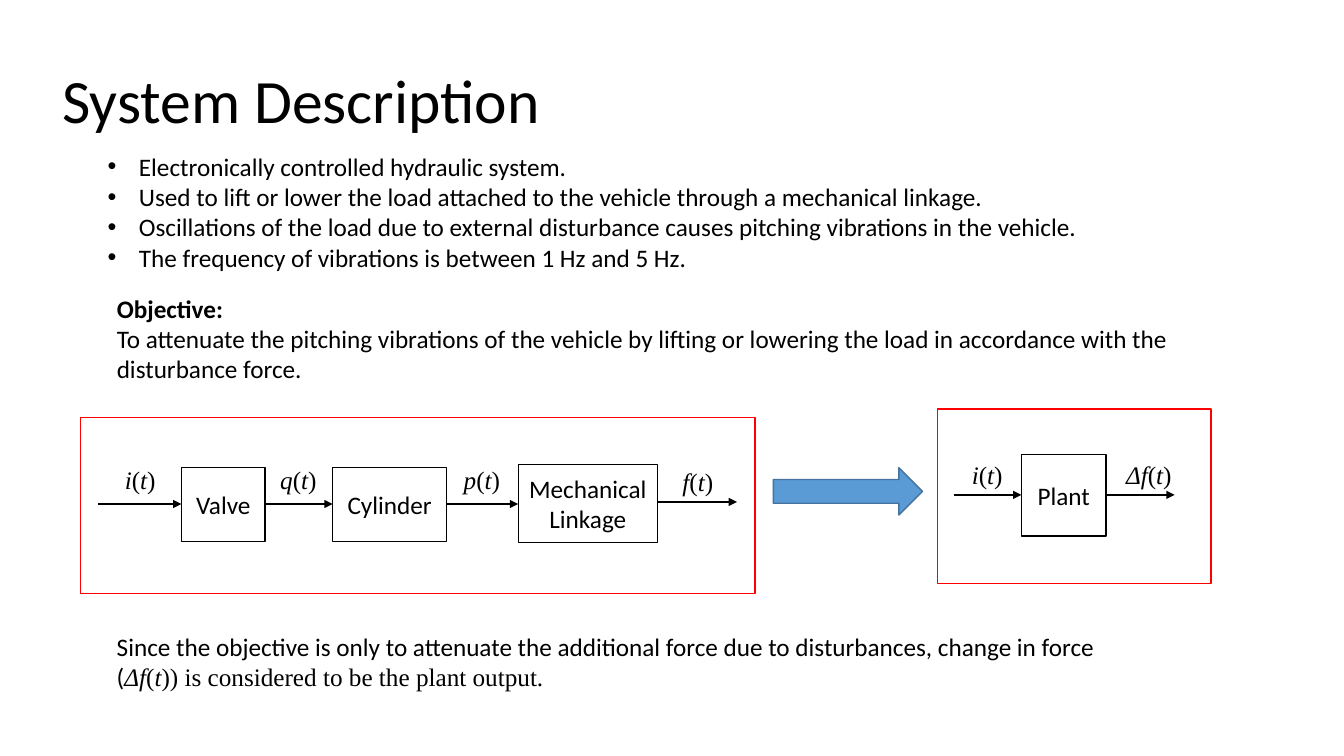
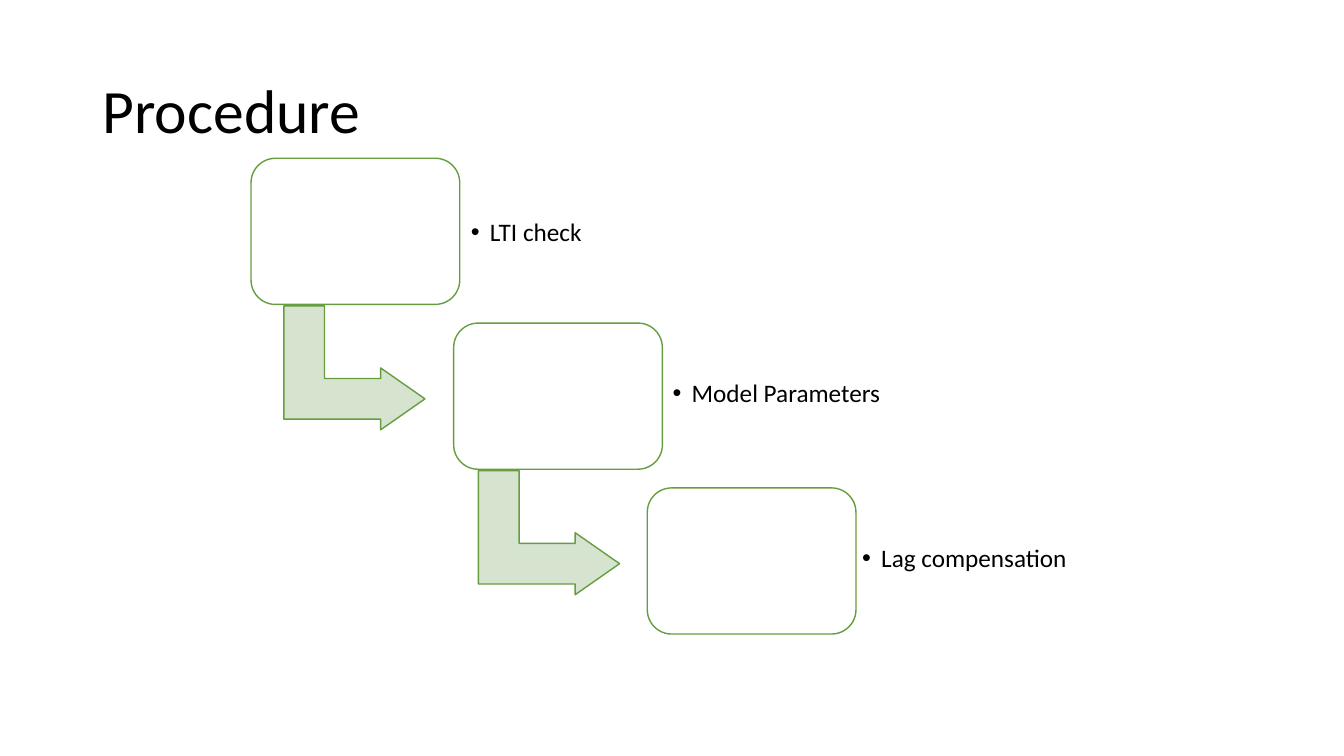
from pptx import Presentation
from pptx.dml.color import RGBColor
from pptx.enum.shapes import MSO_CONNECTOR as CONNECTOR, MSO_SHAPE as SHAPE
from pptx.enum.text import MSO_ANCHOR as ANCHOR, MSO_AUTO_SIZE as AUTO_SIZE, PP_ALIGN as ALIGN
from pptx.oxml.ns import qn
from pptx.util import Inches, Pt
from lxml import etree
from dataclasses import dataclass


@dataclass(frozen=True)
class Theme:
    """Colours, fonts and sizes shared by the slides."""
    ink: str = "000000"
    paper: str = "FFFFFF"
    frame: str = "FF0000"
    arrow: str = "5B9BD5"
    arrow_edge: str = "43739E"
    step: str = "D5E3CF"
    step_edge: str = "669D40"
    text_font: str = "Calibri"
    math_font: str = "Times New Roman"
    title_size: int = 44
    body_size: int = 18
    outline: float = 1
    wire: float = 1.5


THEME = Theme()
BODY = {"name": THEME.text_font, "size": Pt(THEME.body_size), "bold": False, "italic": False}
STYLES = {
    "body": BODY,
    "bold": {**BODY, "bold": True},
    "title": {**BODY, "size": Pt(THEME.title_size)},
    "math": {**BODY, "name": THEME.math_font},
    "symbol": {**BODY, "name": THEME.math_font, "italic": True},
}


def signal(symbol):
    """Return the runs of a signal that depends on time."""
    return [(symbol, "symbol"), ("(", "math"), ("t", "symbol"), (")", "math")]


# Content of slide 1; places are left, top, width, height in inches.
SYSTEM_TITLE = ("System Description", (0.52, 0.3, 11.5, 1.45))
FEATURES = [
    "Electronically controlled hydraulic system.",
    "Used to lift or lower the load attached to the vehicle through a mechanical linkage.",
    "Oscillations of the load due to external disturbance causes pitching vibrations in the vehicle.",
    "The frequency of vibrations is between 1 Hz and 5 Hz.",
]
OBJECTIVE = [
    [("Objective:", "bold")],
    [("To attenuate the pitching vibrations of the vehicle by lifting or lowering the load "
      "in accordance with the disturbance force.", "body")],
]
CONCLUSION = [
    [("Since the objective is only to attenuate the additional force due to disturbances, "
      "change in force (", "body"), *signal("Δf"),
     (") is considered to be the plant output.", "math")],
]
# Wires are start, end, height, signal, label left, label top.
DIAGRAMS = [
    {
        "blocks": [
            ("Valve", (1.8, 4.64, 0.83, 0.73)),
            ("Cylinder", (3.3, 4.64, 1.13, 0.73)),
            ("Mechanical Linkage", (5.14, 4.61, 1.38, 0.77)),
        ],
        "wires": [
            (0.97, 1.8, 5, "i", 1.14, 4.56),
            (2.63, 3.3, 5, "q", 2.68, 4.56),
            (4.43, 5.14, 5, "p", 4.5, 4.56),
            (6.52, 7.31, 4.98, "f", 6.67, 4.58),
        ],
        "frame": (0.8, 4.14, 6.69, 1.75),
    },
    {
        "blocks": [("Plant", (10.13, 4.51, 0.84, 0.81))],
        "wires": [
            (9.46, 10.13, 4.91, "i", 9.54, 4.51),
            (10.98, 11.65, 4.91, "Δf", 11.07, 4.51),
        ],
        "frame": (9.3, 4.06, 2.71, 1.73),
    },
]
LABEL_SIZE = (0.82, 0.4)
REDUCTION_ARROW = (7.67, 4.64, 1.48, 0.47)

# Content of slide 2; steps are label, box left, label place, arrow left.
PROCEDURE_TITLE = ("Procedure", (0.92, 0.4, 11.5, 1.45))
STEPS = [
    ("LTI check", 2.49, (4.6, 1.73, 2.37, 1.17), 2.9),
    ("Model Parameters", 4.5, (6.6, 3.33, 2.48, 1.17), 4.83),
    ("Lag compensation", 6.42, (8.48, 4.96, 3.02, 1.17), None),
]
STEP_TOP, STEP_PITCH = 1.57, 1.635
STEP_SIZE = (2.07, 1.45)
TURN_DROP, TURN_SIZE = 1.38, (1.23, 1.4)
TURN_ADJUSTMENTS = (0.328, 0.25, 0.358)


def inches(place):
    """Convert numbers to lengths."""
    return [Inches(value) for value in place]


def add_bullet(paragraph, indent):
    """Give a paragraph a hanging round bullet."""
    properties = paragraph._p.get_or_add_pPr()
    properties.set("marL", str(Inches(indent)))
    properties.set("indent", str(-Inches(indent)))
    etree.SubElement(properties, qn("a:buFont")).set("typeface", "Arial")
    etree.SubElement(properties, qn("a:buChar")).set("char", "•")


def write(frame, paragraphs, bullet=None, **formats):
    """Fill a text frame with paragraphs made of (text, style) runs."""
    for index, runs in enumerate(paragraphs):
        paragraph = frame.paragraphs[0] if index == 0 else frame.add_paragraph()
        for name, value in formats.items():
            setattr(paragraph, name, value)
        if bullet:
            add_bullet(paragraph, bullet)
        for text, style in runs:
            run = paragraph.add_run()
            run.text = text
            for name, value in STYLES[style].items():
                setattr(run.font, name, value)
            run.font.color.rgb = RGBColor.from_string(THEME.ink)


def add_text(slide, place, paragraphs, anchor=ANCHOR.TOP, inset=None, grow=True, **formats):
    """Add a wrapping text box."""
    frame = slide.shapes.add_textbox(*inches(place)).text_frame
    settings = {
        "word_wrap": True,
        "vertical_anchor": anchor,
        "auto_size": AUTO_SIZE.SHAPE_TO_FIT_TEXT if grow else AUTO_SIZE.NONE,
    }
    if inset is not None:
        for side in ("left", "top", "right", "bottom"):
            settings["margin_" + side] = Inches(inset)
    for name, value in settings.items():
        setattr(frame, name, value)
    write(frame, paragraphs, **formats)


def add_title(slide, text, place):
    """Add the slide title."""
    add_text(slide, place, [[(text, "title")]], ANCHOR.MIDDLE, grow=False, line_spacing=0.9)


def add_figure(slide, kind, place, fill, edge, adjustments=(), rotation=0):
    """Add an outlined preset shape, unfilled when fill is None."""
    shape = slide.shapes.add_shape(kind, *inches(place))
    shape.shadow.inherit = False
    shape.rotation = rotation
    for index, value in enumerate(adjustments):
        shape.adjustments[index] = value
    if fill:
        shape.fill.solid()
        shape.fill.fore_color.rgb = RGBColor.from_string(fill)
    else:
        shape.fill.background()
    shape.line.color.rgb = RGBColor.from_string(edge)
    shape.line.width = Pt(THEME.outline)
    return shape


def add_block(slide, text, place):
    """Add one labelled block of a diagram."""
    frame = add_figure(slide, SHAPE.RECTANGLE, place, THEME.paper, THEME.ink).text_frame
    frame.word_wrap = True
    frame.vertical_anchor = ANCHOR.MIDDLE
    write(frame, [[(text, "body")]], alignment=ALIGN.CENTER)


def add_wire(slide, start, end, height):
    """Add a level arrow between two blocks."""
    wire = slide.shapes.add_connector(CONNECTOR.STRAIGHT, *inches((start, height, end, height)))
    wire.line.color.rgb = RGBColor.from_string(THEME.ink)
    wire.line.width = Pt(THEME.wire)
    etree.SubElement(wire.line._get_or_add_ln(), qn("a:tailEnd")).set("type", "triangle")
    etree.SubElement(wire._element.spPr, qn("a:effectLst"))


def add_diagram(slide, blocks, wires, frame):
    """Add blocks, their signals and the frame around them."""
    for text, place in blocks:
        add_block(slide, text, place)
    for start, end, height, symbol, left, top in wires:
        add_wire(slide, start, end, height)
        add_text(slide, (left, top, *LABEL_SIZE), [signal(symbol)])
    add_figure(slide, SHAPE.RECTANGLE, frame, None, THEME.frame)


def build_system(slide):
    """Build the system description."""
    add_title(slide, *SYSTEM_TITLE)
    for diagram in DIAGRAMS:
        add_diagram(slide, **diagram)
    add_figure(slide, SHAPE.RIGHT_ARROW, REDUCTION_ARROW, THEME.arrow, THEME.arrow_edge)
    add_text(slide, (0.97, 1.45, 10.16, 1.62), [[(text, "body")] for text in FEATURES], bullet=0.31)
    add_text(slide, (1.06, 2.86, 10.95, 1.01), OBJECTIVE)
    add_text(slide, (1.06, 6.21, 9.93, 1.01), CONCLUSION)


def build_procedure(slide):
    """Build the staircase of steps."""
    add_title(slide, *PROCEDURE_TITLE)
    for index, (text, left, label_place, turn_left) in enumerate(STEPS):
        top = STEP_TOP + index * STEP_PITCH
        if turn_left is not None:
            add_figure(slide, SHAPE.BENT_UP_ARROW, (turn_left, top + TURN_DROP, *TURN_SIZE),
                       THEME.step, THEME.step_edge, TURN_ADJUSTMENTS, 90)
        add_figure(slide, SHAPE.ROUNDED_RECTANGLE, (left, top, *STEP_SIZE),
                   THEME.paper, THEME.step_edge, (0.167,))
        add_text(slide, label_place, [[(text, "body")]], ANCHOR.MIDDLE, inset=0.07,
                 grow=False, bullet=0.19, level=1, line_spacing=0.9)


presentation = Presentation()
presentation.slide_width, presentation.slide_height = inches((13.33, 7.5))
for build in (build_system, build_procedure):
    build(presentation.slides.add_slide(presentation.slide_layouts[6]))
presentation.save("out.pptx")
